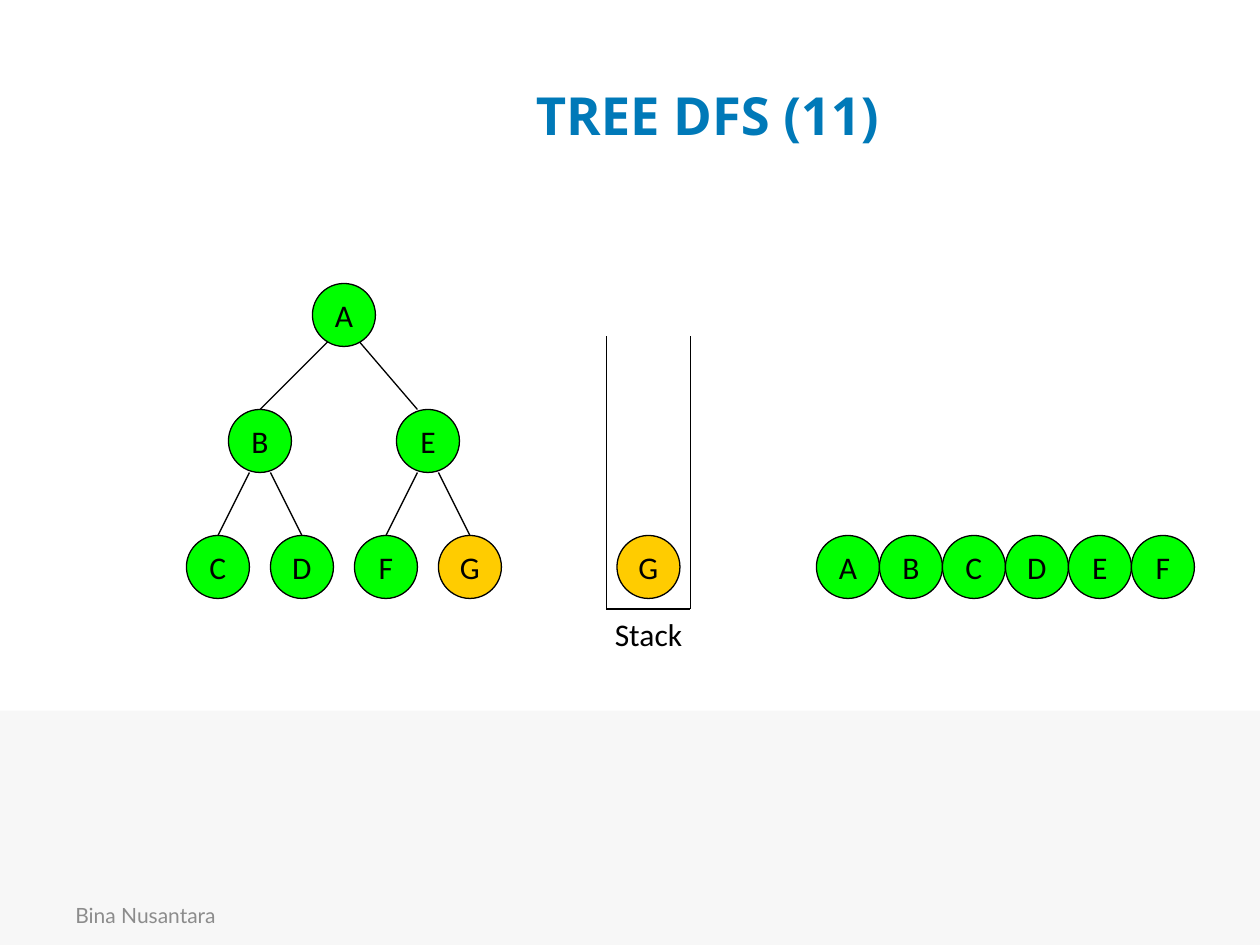
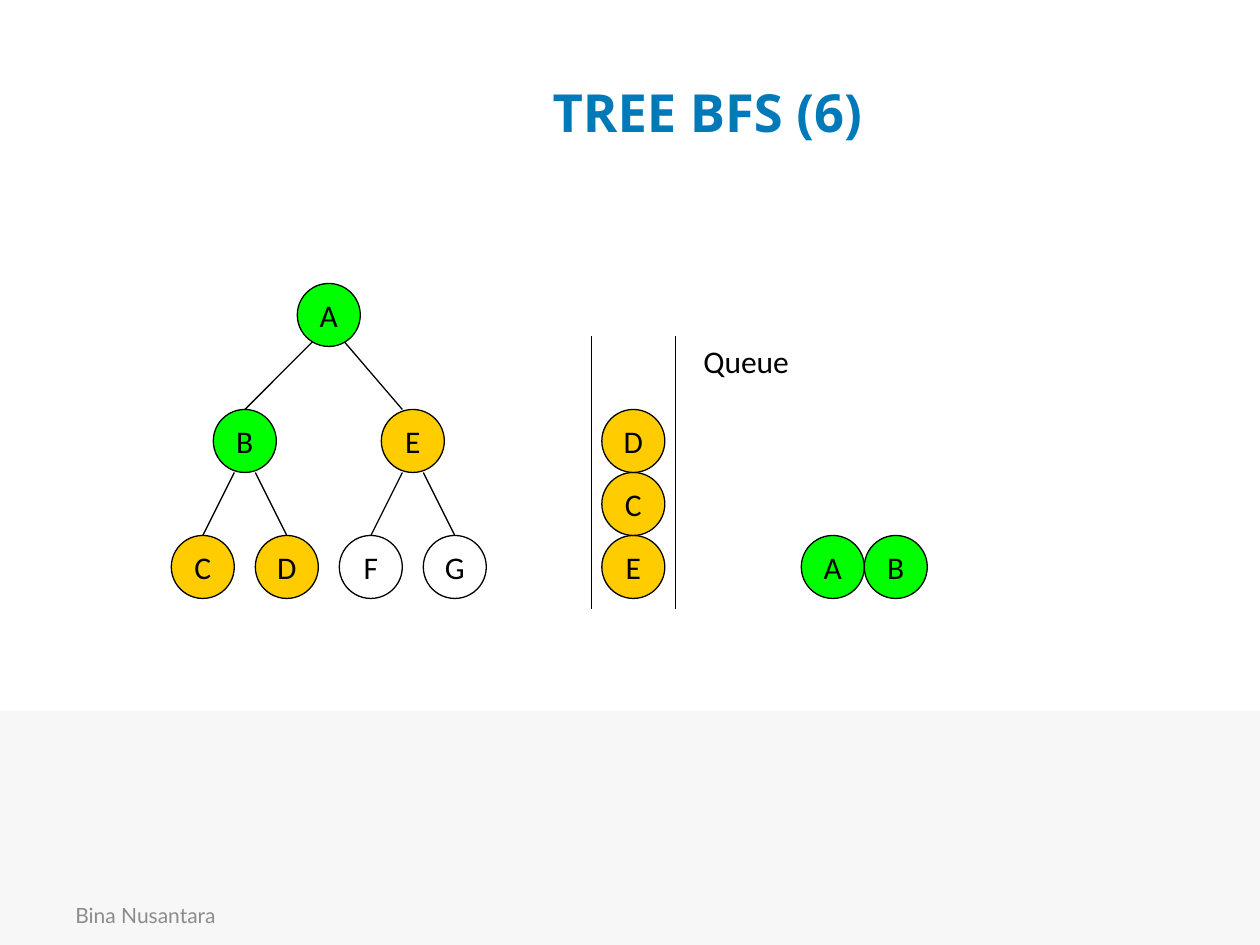
from dataclasses import dataclass

from lxml.etree import SubElement
from pptx import Presentation
from pptx.dml.color import RGBColor as Rgb
from pptx.enum.shapes import MSO_CONNECTOR as Connector, MSO_SHAPE as Preset
from pptx.enum.text import MSO_ANCHOR as Anchor, PP_ALIGN as Align
from pptx.oxml.ns import qn
from pptx.util import Inches, Pt


@dataclass(frozen=True)
class Theme:
    page: str = "FFFFFF"
    band: str = "F7F7F7"
    title: str = "0079B8"
    footer: str = "8C8C8C"
    ink: str = "000000"
    visited: str = "00FF00"
    waiting: str = "FFCC00"
    unseen: str = "FFFFFF"
    title_font: str = "Open Sans"
    footer_font: str = "Lato"
    body_font: str = "Calibri"
    title_size: float = 30
    footer_size: float = 12
    body_size: float = 18
    line_width: float = 0.75


@dataclass(frozen=True)
class Place:
    column: int
    row: int


@dataclass(frozen=True)
class Edge:
    parent: str
    child: str
    start_shift: int
    start_drop: int
    end_shift: int = 0


@dataclass(frozen=True)
class Label:
    text: str
    column: float
    row: float
    columns: float


@dataclass(frozen=True)
class Step:
    title: str
    title_top: float
    tree_left: float
    waiting: str  # from the bottom of the holder upwards
    visited: str
    label: Label
    closed: bool


THEME = Theme()
WIDTH, HEIGHT = 10, 7.5

# Grid: column 0 is the centre of leaf C, row 0 the centre line of the leaves.
CELL = 1 / 12
LEAF_LINE = 4.5
DIAMETER = 6
RADIUS = DIAMETER // 2
HOLDER_LEFT, HOLDER_RIGHT = 37, 45
HOLDER_TOP, HOLDER_BOTTOM = -22, 4
RESULT_LEFT = 60
LABEL_HEIGHT = 4.8

TREE = {
    "A": Place(12, -24), "B": Place(4, -12), "E": Place(20, -12),
    "C": Place(0, 0), "D": Place(8, 0), "F": Place(16, 0), "G": Place(24, 0),
}
EDGES = [
    Edge("A", "B", -1, 2), Edge("A", "E", 1, 2, -1),
    Edge("B", "C", -1, RADIUS), Edge("B", "D", 1, RADIUS),
    Edge("E", "F", -1, RADIUS), Edge("E", "G", 1, RADIUS),
]
STEPS = [
    Step("TREE DFS (11)", 0.28, 1.73, "G", "ABCDEF",
         Label("Stack", 36, HOLDER_BOTTOM, 10), closed=True),
    Step("TREE BFS (6)", 0.26, 1.61, "ECD", "AB",
         Label("Queue", 46, HOLDER_TOP, 11.5), closed=False),
]


def write_text(shape, text: str, *, size: float = THEME.body_size,
               font: str = THEME.body_font, color: str = THEME.ink,
               bold: bool = False, align=Align.CENTER, anchor=Anchor.MIDDLE,
               wrap: bool = False) -> None:
    frame = shape.text_frame
    frame.word_wrap = wrap
    frame.vertical_anchor = anchor
    para = frame.paragraphs[0]
    para.alignment = align
    span = para.add_run()
    span.text = text
    span.font.size = Pt(size)
    span.font.name = font
    span.font.bold = bold
    span.font.color.rgb = Rgb.from_string(color)


def add_preset(page, preset, left: float, top: float, width: float,
               height: float, fill: str, outlined: bool):
    shape = page.shapes.add_shape(preset, *map(Inches, (left, top, width, height)))
    shape.shadow.inherit = False
    shape.fill.solid()
    shape.fill.fore_color.rgb = Rgb.from_string(fill)
    if outlined:
        shape.line.color.rgb = Rgb.from_string(THEME.ink)
        shape.line.width = Pt(THEME.line_width)
    else:
        shape.line.fill.background()
    return shape


def add_box(page, left: float, top: float, width: float, height: float,
            text: str, **text_format) -> None:
    box = page.shapes.add_textbox(*map(Inches, (left, top, width, height)))
    write_text(box, text, **text_format)


def add_frame(page, step: Step) -> None:
    """Draw the parts every slide has: band, footer and title."""
    page.background.fill.solid()
    page.background.fill.fore_color.rgb = Rgb.from_string(THEME.page)
    band_top = 0.752 * HEIGHT
    add_preset(page, Preset.RECTANGLE, 0, band_top, WIDTH, HEIGHT - band_top,
               THEME.band, outlined=False)
    add_box(page, 0.05 * WIDTH, 7.06, 2.33, 0.4, "Bina Nusantara",
            size=THEME.footer_size, font=THEME.footer_font,
            color=THEME.footer, align=Align.LEFT, wrap=True)
    add_box(page, 0.175 * WIDTH, step.title_top, 7.73, 1.25, step.title,
            size=THEME.title_size, font=THEME.title_font,
            color=THEME.title, bold=True, wrap=True)


@dataclass(frozen=True)
class Diagram:
    """Draws on the grid of one slide."""
    page: object
    left: float

    def x(self, column: float) -> float:
        return self.left + column * CELL

    def y(self, row: float) -> float:
        return LEAF_LINE + row * CELL

    def line(self, column: float, row: float, end_column: float, end_row: float) -> None:
        ends = (self.x(column), self.y(row), self.x(end_column), self.y(end_row))
        connector = self.page.shapes.add_connector(
            Connector.STRAIGHT, *map(Inches, ends))
        connector.line.color.rgb = Rgb.from_string(THEME.ink)
        connector.line.width = Pt(THEME.line_width)
        SubElement(connector.element.spPr, qn("a:effectLst"))

    def node(self, letter: str, column: float, row: float, fill: str) -> None:
        size = DIAMETER * CELL
        circle = add_preset(self.page, Preset.OVAL, self.x(column - RADIUS),
                            self.y(row - RADIUS), size, size, fill, outlined=True)
        write_text(circle, letter)

    def tree(self, step: Step) -> None:
        for edge in EDGES:
            parent, child = TREE[edge.parent], TREE[edge.child]
            self.line(child.column + edge.end_shift, child.row - RADIUS,
                      parent.column + edge.start_shift, parent.row + edge.start_drop)
        for letter, place in TREE.items():
            fill = (THEME.visited if letter in step.visited
                    else THEME.waiting if letter in step.waiting
                    else THEME.unseen)
            self.node(letter, place.column, place.row, fill)

    def holder(self, step: Step) -> None:
        """Draw the stack or queue with its waiting nodes and its label."""
        for column in (HOLDER_LEFT, HOLDER_RIGHT):
            self.line(column, HOLDER_BOTTOM, column, HOLDER_TOP)
        if step.closed:
            self.line(HOLDER_LEFT, HOLDER_BOTTOM, HOLDER_RIGHT, HOLDER_BOTTOM)
        middle = (HOLDER_LEFT + HOLDER_RIGHT) / 2
        for index, letter in enumerate(step.waiting):
            self.node(letter, middle, -index * DIAMETER, THEME.waiting)
        label = step.label
        add_box(self.page, self.x(label.column), self.y(label.row),
                label.columns * CELL, LABEL_HEIGHT * CELL, label.text,
                anchor=Anchor.TOP)

    def result(self, step: Step) -> None:
        for index, letter in enumerate(step.visited):
            self.node(letter, RESULT_LEFT + index * DIAMETER, 0, THEME.visited)


def main() -> None:
    deck = Presentation()
    deck.slide_width, deck.slide_height = Inches(WIDTH), Inches(HEIGHT)
    for step in STEPS:
        page = deck.slides.add_slide(deck.slide_layouts[6])
        add_frame(page, step)
        diagram = Diagram(page, step.tree_left)
        diagram.tree(step)
        diagram.holder(step)
        diagram.result(step)
    deck.save("out.pptx")


if __name__ == "__main__":
    main()
